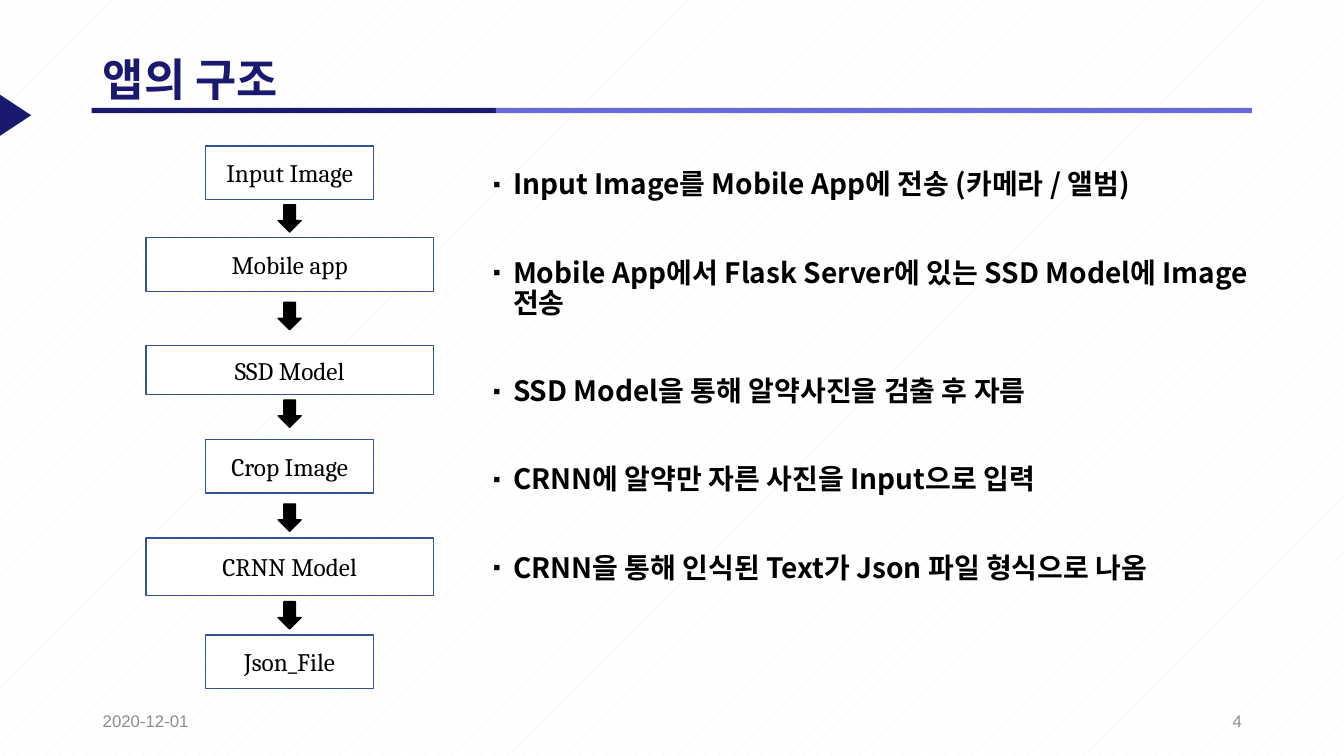
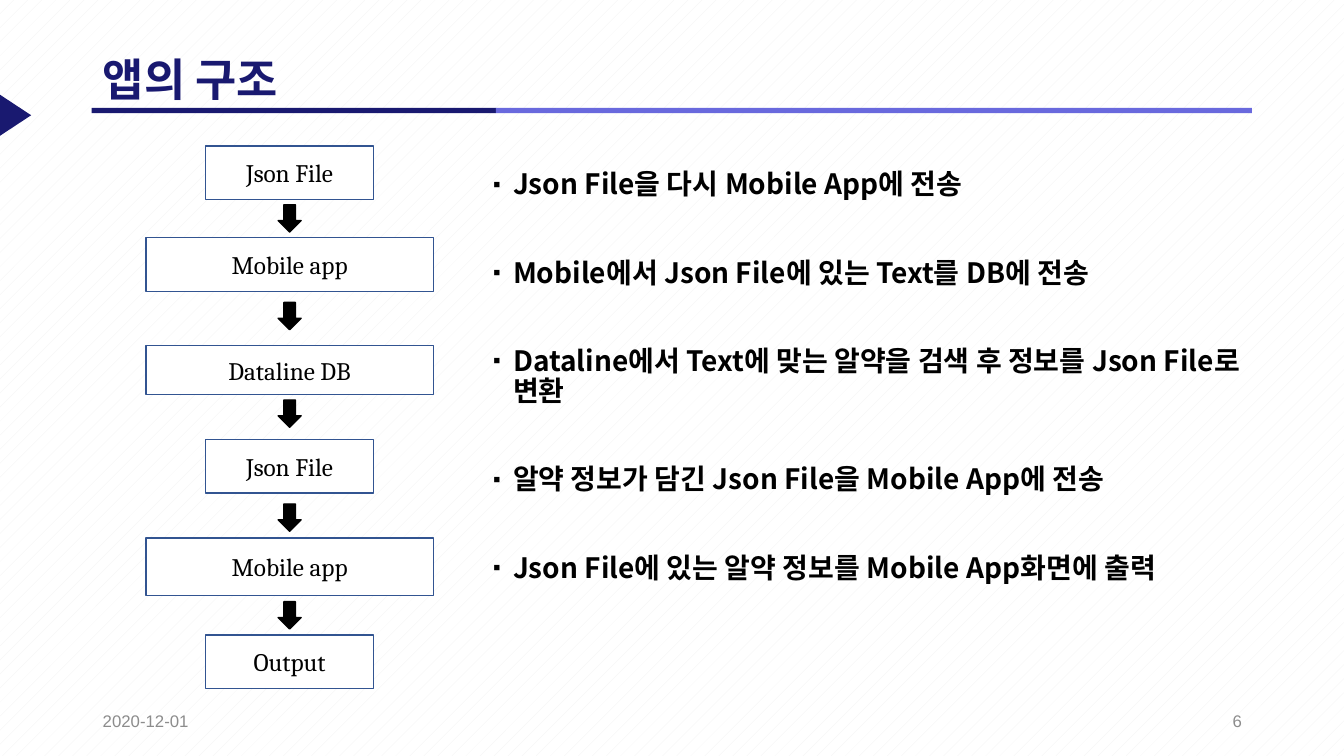
from lxml.etree import SubElement as Sub
from pptx import Presentation
from pptx.dml.color import RGBColor
from pptx.enum.dml import MSO_PATTERN as Pat
from pptx.enum.shapes import MSO_SHAPE as Geo
from pptx.enum.text import MSO_ANCHOR as Anchor, PP_ALIGN as Align
from pptx.oxml.ns import qn
from pptx.util import Cm, Pt

NAVY = RGBColor(0x19, 0x19, 0x70)
VIOLET = RGBColor(0x69, 0x69, 0xDD)
BLUE = RGBColor(0x32, 0x54, 0x91)
BLACK = RGBColor(0, 0, 0)
WHITE = RGBColor(0xFF, 0xFF, 0xFF)
PALE = RGBColor(0xF2, 0xF2, 0xF2)
GREY = RGBColor(0x8C, 0x8C, 0x8C)
SANS, SERIF, HANGUL = "Arial", "Cambria", "Noto Sans CJK KR"

NARROW, WIDE = 4.24, 7.24
STEPS = [(0, NARROW, 1.35), (2.31, WIDE, 1.35), (5.03, WIDE, 1.24),
         (7.39, NARROW, 1.35), (9.88, WIDE, 1.45), (12.32, NARROW, 1.35)]
ARROWS = [1.48, 3.94, 6.4, 9.02, 11.48]

FLOW = (3.66, 3.68, 7.28, 13.67)
NOTES = (12.04, 4.17, 20.17, 13.15)
TITLE = (2.34, 1.02, 29.21, 1.78)
FOOT = (2.34, 17.65, 29.21, 1.02)
RULE = (2.31, 2.72, 29.24, 0.13)

PAGES = [
    ("4",
     ["Input Image", "Mobile app", "SSD Model", "Crop Image", "CRNN Model",
      "Json_File"],
     ["Input Image를 Mobile App에 전송 (카메라 / 앨범)",
      "Mobile App에서 Flask Server에 있는 SSD Model에 Image 전송",
      "SSD Model을 통해 알약사진을 검출 후 자름",
      "CRNN에 알약만 자른 사진을 Input으로 입력",
      "CRNN을 통해 인식된 Text가 Json 파일 형식으로 나옴"]),
    ("6",
     ["Json File", "Mobile app", "Dataline DB", "Json File", "Mobile app",
      "Output"],
     ["Json File을 다시 Mobile App에 전송",
      "Mobile에서 Json File에 있는 Text를 DB에 전송",
      "Dataline에서 Text에 맞는 알약을 검색 후 정보를 Json File로 변환",
      "알약 정보가 담긴 Json File을 Mobile App에 전송",
      "Json File에 있는 알약 정보를 Mobile App화면에 출력"]),
]


def style(para, size, face, color, bold=False):
    for run in para.runs:
        font = run.font
        font.size, font.name, font.bold = Pt(size), face, bold
        font.color.rgb = color
        Sub(run._r.get_or_add_rPr(), qn("a:ea"), typeface=HANGUL)


def shape(slide, kind, box, fill, line=None):
    item = slide.shapes.add_shape(kind, *map(Cm, box))
    item.shadow.inherit = False
    item.fill.solid()
    item.fill.fore_color.rgb = fill
    if line is None:
        item.line.fill.background()
    else:
        item.line.color.rgb = line
        item.line.width = Pt(1)
    return item


def label(slide, box, text, align):
    frame = slide.shapes.add_textbox(*map(Cm, box)).text_frame
    frame.word_wrap = True
    frame.vertical_anchor = Anchor.MIDDLE
    para = frame.paragraphs[0]
    para.text = text
    para.alignment = align
    style(para, 12, SANS, GREY)


def head(slide, box, text):
    title = slide.shapes.title
    title.left, title.top, title.width, title.height = map(Cm, box)
    frame = title.text_frame
    frame.text = text
    frame.vertical_anchor = Anchor.BOTTOM
    para = frame.paragraphs[0]
    para.alignment = Align.LEFT
    para.line_spacing = 0.9
    style(para, 32, SANS, NAVY, True)


def rule(slide, box):
    left, top, width, height = box
    dark = 10.19
    shape(slide, Geo.RECTANGLE, (left, top, dark, height), NAVY)
    shape(slide, Geo.RECTANGLE,
          (left + dark, top, width - dark, height), VIOLET)
    mark = shape(slide, Geo.ISOSCELES_TRIANGLE,
                 (-0.13, top - 0.21, 1.04, 0.79), NAVY)
    mark.rotation = 90


def foot(slide, box, date, page):
    left, top, width, height = box
    part = 7.62
    label(slide, (left, top, part, height), date, Align.LEFT)
    label(slide, (left + width - part, top, part, height), page, Align.RIGHT)


def flow(slide, box, names):
    left, top, width, _ = box
    mid = left + width / 2
    for name, (drop, wide, tall) in zip(names, STEPS):
        step = shape(slide, Geo.RECTANGLE,
                     (mid - wide / 2, top + drop, wide, tall), WHITE, BLUE)
        frame = step.text_frame
        frame.text = name
        frame.vertical_anchor = Anchor.MIDDLE
        para = frame.paragraphs[0]
        para.alignment = Align.CENTER
        style(para, 18, SERIF, BLACK)
    for drop in ARROWS:
        shape(slide, Geo.DOWN_ARROW,
              (mid - 0.29, top + drop, 0.58, 0.69), BLACK, BLACK)


def bullet(para):
    props = para._p.get_or_add_pPr()
    props.set("marL", str(Cm(0.64)))
    props.set("indent", str(-Cm(0.64)))
    Sub(props, qn("a:buSzPct"), val="70000")
    Sub(props, qn("a:buFont"), typeface=HANGUL)
    Sub(props, qn("a:buChar"), char="▪")


def notes(slide, box, lines):
    frame = slide.shapes.add_textbox(*map(Cm, box)).text_frame
    frame.word_wrap = True
    for row, line in enumerate(lines):
        para = frame.add_paragraph() if row else frame.paragraphs[0]
        para.text = line
        para.line_spacing = Pt(21.5)
        para.space_before = Pt(41.6 if row else 0)
        bullet(para)
        style(para, 20, HANGUL, BLACK, True)


def build(deck, layout, page, names, lines):
    slide = deck.slides.add_slide(layout)
    rule(slide, RULE)
    head(slide, TITLE, "앱의 구조")
    foot(slide, FOOT, "2020-12-01", page)
    flow(slide, FLOW, names)
    notes(slide, NOTES, lines)


def main():
    deck = Presentation()
    deck.slide_width, deck.slide_height = Cm(33.87), Cm(19.05)
    layout = deck.slide_layouts[5]
    fill = layout.background.fill
    fill.patterned()
    fill.pattern = Pat.PERCENT_5
    fill.fore_color.rgb = PALE
    fill.back_color.rgb = WHITE
    for page in PAGES:
        build(deck, layout, *page)
    deck.save("out.pptx")


if __name__ == "__main__":
    main()
